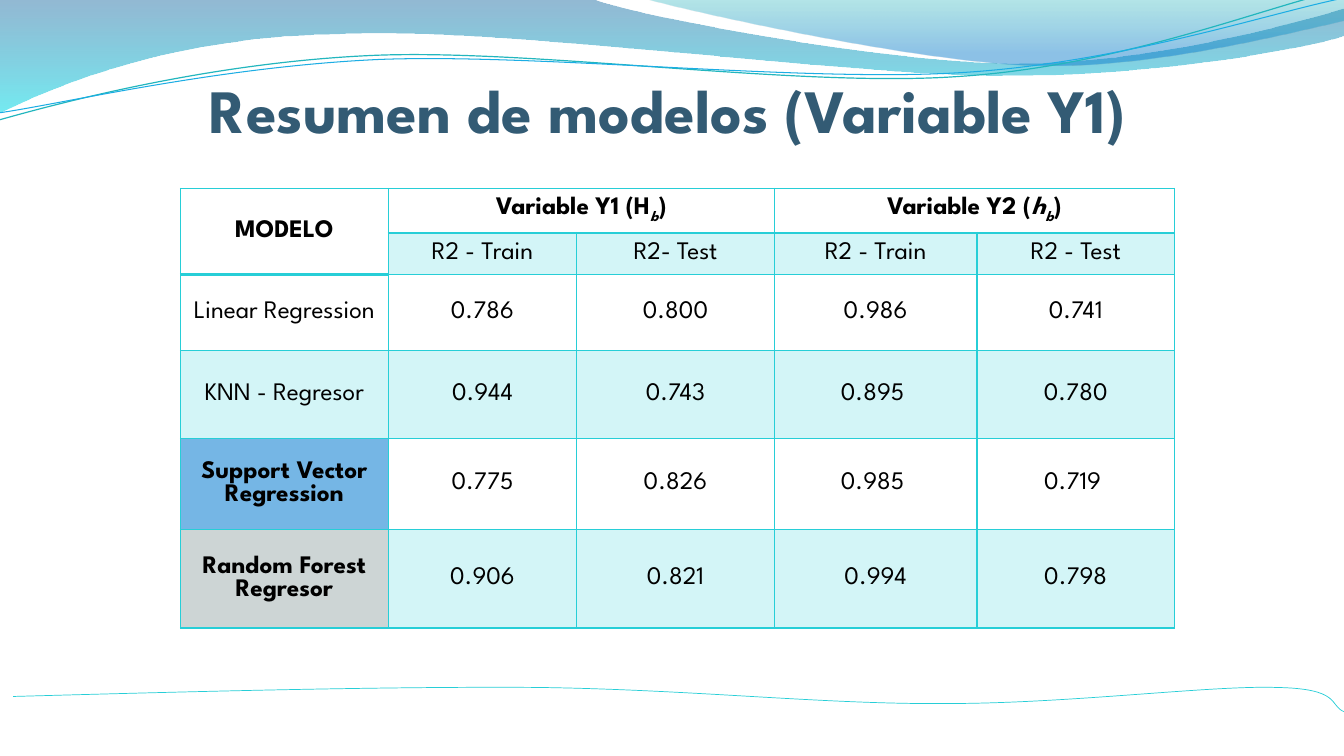
from lxml.etree import SubElement
from pptx import Presentation
from pptx.dml.color import RGBColor
from pptx.enum.text import MSO_ANCHOR, PP_ALIGN
from pptx.oxml.ns import qn
from pptx.util import Inches, Pt

FONT = "League Spartan"
TEAL = "27CED7"
PALE_TEAL = (TEAL, 20)

# Each wave starts at a point; a pair is a straight step, six numbers a Bezier step.
WAVES = [
    {"start": (-0.02, 0), "gradient": [(0, "10639E", 45), (100, "00DBE7", 55)],
     "steps": [(5.87, -0.01), (6.34, 0.17, 8.84, 0.63, 10.11, 0.63),
               (11.37, 0.63, 12.77, 0.26, 13.33, 0.09), (13.34, 0.36),
               (13.11, 0.44, 11.59, 0.76, 9.94, 0.75),
               (8.29, 0.75, 5.09, 0.28, 3.43, 0.34),
               (1.72, 0.36, 0.61, 0.83, -0.02, 1.13)]},
    {"start": (6.38, -0.01), "gradient": [(0, "09AAB3", 30), (80, "0578CB", 45)],
     "steps": [(6.79, 0.11, 9.09, 0.62, 10.25, 0.65),
               (11.4, 0.69, 12.82, 0.32, 13.33, 0.21), (13.33, 0)]},
    {"start": (-0.01, 1.19), "line": ("22B6BE", 0.85),
     "steps": [(0.63, 1.01, 2.1, 0.62, 3.69, 0.55),
               (5.27, 0.48, 7.89, 0.87, 9.49, 0.76),
               (11.1, 0.66, 12.51, 0.08, 13.3, -0.1)]},
    {"start": (-0.01, 1.12), "line": ("1CADE4", 0.75),
     "steps": [(0.62, 1.03, 2.18, 0.66, 3.77, 0.59),
               (5.37, 0.53, 7.96, 0.82, 9.55, 0.72),
               (11.14, 0.62, 12.55, 0.14, 13.33, -0.02)]},
    {"start": (0.13, 6.91), "line": (TEAL, 0.5),
     "steps": [(1.95, 6.86, 3.78, 6.81, 5.32, 6.82),
               (6.87, 6.84, 8.17, 6.99, 9.39, 6.98),
               (10.61, 6.98, 11.99, 6.8, 12.65, 6.82),
               (13.31, 6.83, 13.18, 7, 13.33, 7.06)]},
]

COLUMN_WIDTHS = [2.06, 1.87, 1.96, 2.01, 1.96]
ROW_HEIGHTS = [0.4, 0.41, 0.76, 0.87, 0.9, 0.98]
SUBSCRIPT = {"italic": True, "baseline": -25}
HEADINGS = {
    0: [("MODELO", {})],
    1: [("Variable Y1 (H", {}), ("b", SUBSCRIPT), (")", {})],
    3: [("Variable Y2 (", {}), ("h", {"italic": True}), ("b", SUBSCRIPT), (")", {})],
}
BODY = [
    ["", "R2 - Train", "R2- Test", "R2 - Train", "R2 - Test"],
    ["Linear Regression", "0.786", "0.800", "0.986", "0.741"],
    ["KNN - Regresor", "0.944", "0.743", "0.895 ", "0.780"],
    ["Support Vector Regression", "0.775", "0.826", "0.985 ", "0.719 "],
    ["Random Forest Regresor", "0.906", "0.821", "0.994", "0.798"],
]
MODEL_FILLS = {4: ("75B6E5", 100), 5: ("092F31", 20)}


def color(value):
    return RGBColor.from_string(value)


def add_alpha(color_element, percent):
    SubElement(color_element, qn("a:alpha"), val=str(percent * 1000))


def fill_gradient(shape, stops):
    """Fill from top to bottom with (position, colour, opacity) stops."""
    shape.fill.gradient()
    gradient = shape.fill._xPr.find(qn("a:gradFill"))
    for child in list(gradient):
        gradient.remove(child)
    stop_list = SubElement(gradient, qn("a:gsLst"))
    for position, value, opacity in stops:
        stop = SubElement(stop_list, qn("a:gs"), pos=str(position * 1000))
        add_alpha(SubElement(stop, qn("a:srgbClr"), val=value), opacity)
    SubElement(gradient, qn("a:lin"), ang="5400000", scaled="0")


def bend(wave, steps):
    """Turn the straight segments of Bezier steps into curves."""
    segments = list(wave._element.iter(qn("a:lnTo")))
    for segment, step in zip(segments, steps):
        if len(step) == 2:
            continue
        segment.tag = qn("a:cubicBezTo")
        for child in list(segment):
            segment.remove(child)
        for x, y in zip(step[::2], step[1::2]):
            SubElement(segment, qn("a:pt"), x=str(Inches(x) - wave.left),
                       y=str(Inches(y) - wave.top))


def add_wave(page, start, steps, gradient=None, line=None):
    points = [(Inches(x), Inches(y)) for *_, x, y in [start, *steps]]
    builder = page.shapes.build_freeform(*points[0])
    builder.add_line_segments(points[1:], close=gradient is not None)
    wave = builder.convert_to_shape()
    bend(wave, steps)
    wave.shadow.inherit = False
    if gradient:
        fill_gradient(wave, gradient)
        wave.line.fill.background()
    else:
        wave.fill.background()
        wave.line.color.rgb = color(line[0])
        wave.line.width = Pt(line[1])


def write(frame, spans, **base):
    """Write one centred paragraph of (text, format) spans."""
    para = frame.paragraphs[0]
    para.alignment = PP_ALIGN.CENTER
    for text, changes in spans:
        span = para.add_run()
        span.text = text
        look = {"name": FONT, "size": Pt(18), "bold": False, **base, **changes}
        baseline = look.pop("baseline", None)
        span.font.color.rgb = color(look.pop("ink", "000000"))
        for name, value in look.items():
            setattr(span.font, name, value)
        if baseline:
            span._r.get_or_add_rPr().set("baseline", str(baseline * 1000))


def set_empty_font(frame):
    """Keep a covered cell from stretching its row."""
    ending = SubElement(frame.paragraphs[0]._p, qn("a:endParaRPr"), sz="1800")
    SubElement(ending, qn("a:latin"), typeface=FONT)


def add_title(page, text):
    box = page.shapes.add_textbox(Inches(0.14), Inches(0.68), Inches(12.98), Inches(0.77))
    frame = box.text_frame
    settings = {"word_wrap": True, "vertical_anchor": MSO_ANCHOR.BOTTOM, "margin_left": 0,
                "margin_top": Inches(0.05), "margin_right": 0, "margin_bottom": 0}
    for name, value in settings.items():
        setattr(frame, name, value)
    write(frame, [(text, {})], size=Pt(44), bold=True, ink="335B74")


def is_heading(row, column):
    return 0 <= row < (2 if column == 0 else 1)


def set_borders(cell, row, column):
    """Draw thin borders, doubled under the headings."""
    weights = {"L": 1, "R": 1, "T": 1 + is_heading(row - 1, column),
               "B": 1 + is_heading(row, column)}
    for side, weight in weights.items():
        line = SubElement(cell._tc.get_or_add_tcPr(), qn(f"a:ln{side}"), w=str(Pt(weight)))
        SubElement(SubElement(line, qn("a:solidFill")), qn("a:srgbClr"), val=TEAL)


def cell_fill(row, column):
    if is_heading(row, column):
        return None
    if column == 0 and row in MODEL_FILLS:
        return MODEL_FILLS[row]
    return PALE_TEAL if row % 2 else None


def fill_cell(cell, paint):
    if paint is None:
        cell.fill.background()
        return
    value, opacity = paint
    cell.fill.solid()
    cell.fill.fore_color.rgb = color(value)
    if opacity < 100:
        add_alpha(cell._tc.tcPr.find(qn("a:solidFill"))[0], opacity)


def add_results_table(page):
    table = page.shapes.add_table(
        len(ROW_HEIGHTS), len(COLUMN_WIDTHS), Inches(1.79), Inches(1.87),
        Inches(sum(COLUMN_WIDTHS)), Inches(sum(ROW_HEIGHTS))).table
    table.first_row = table.horz_banding = False
    for column, width in zip(table.columns, COLUMN_WIDTHS):
        column.width = Inches(width)
    for row, height in zip(table.rows, ROW_HEIGHTS):
        row.height = Inches(height)
    for first, last in [((0, 0), (1, 0)), ((0, 1), (0, 2)), ((0, 3), (0, 4))]:
        table.cell(*first).merge(table.cell(*last))
    for row in range(len(ROW_HEIGHTS)):
        for column in range(len(COLUMN_WIDTHS)):
            cell = table.cell(row, column)
            cell.vertical_anchor = MSO_ANCHOR.MIDDLE
            set_borders(cell, row, column)
            fill_cell(cell, cell_fill(row, column))
            if cell.is_spanned:
                set_empty_font(cell.text_frame)
                continue
            spans = HEADINGS[column] if row == 0 else [(BODY[row - 1][column], {})]
            bold = row == 0 or (column == 0 and row in MODEL_FILLS)
            write(cell.text_frame, spans, bold=bold)


def main():
    deck = Presentation()
    deck.slide_width, deck.slide_height = Inches(13.33), Inches(7.5)
    page = deck.slides.add_slide(deck.slide_layouts[6])
    for wave in WAVES:
        add_wave(page, **wave)
    add_title(page, "Resumen de modelos (Variable Y1)")
    add_results_table(page)
    deck.save("out.pptx")


if __name__ == "__main__":
    main()
